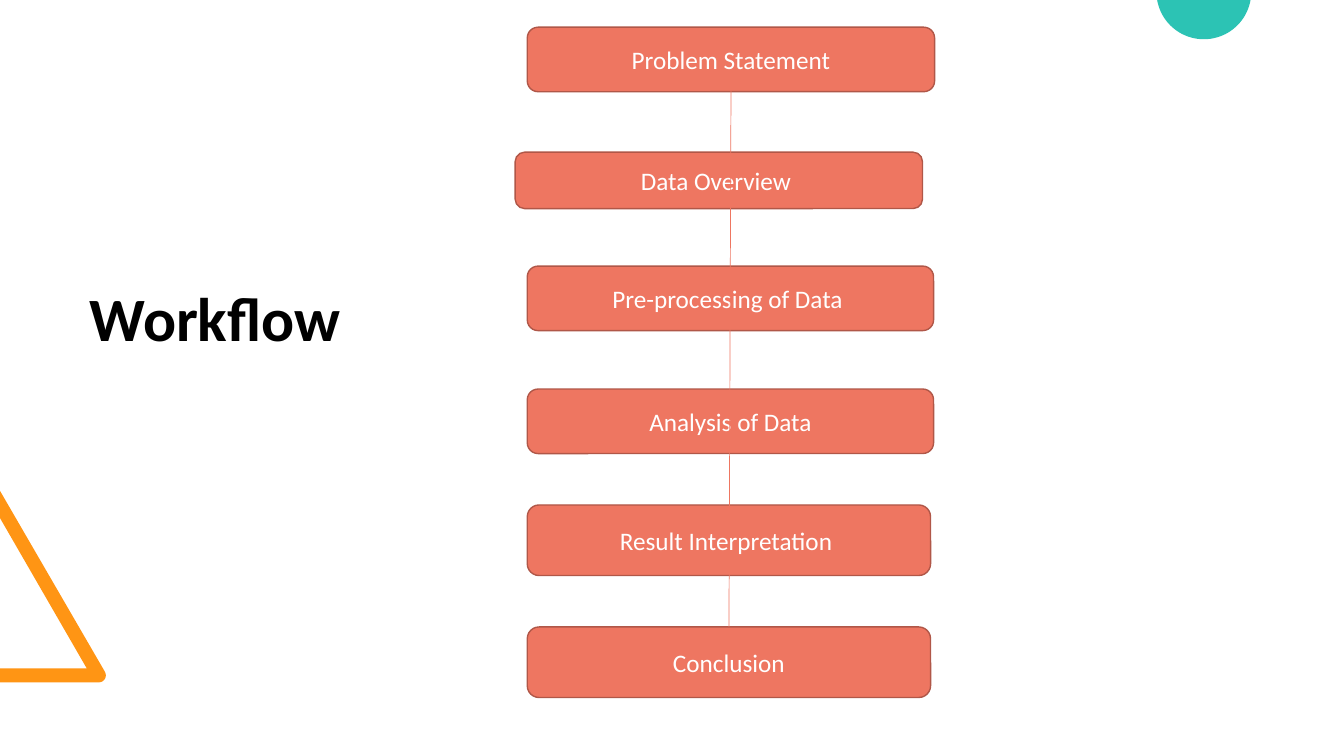
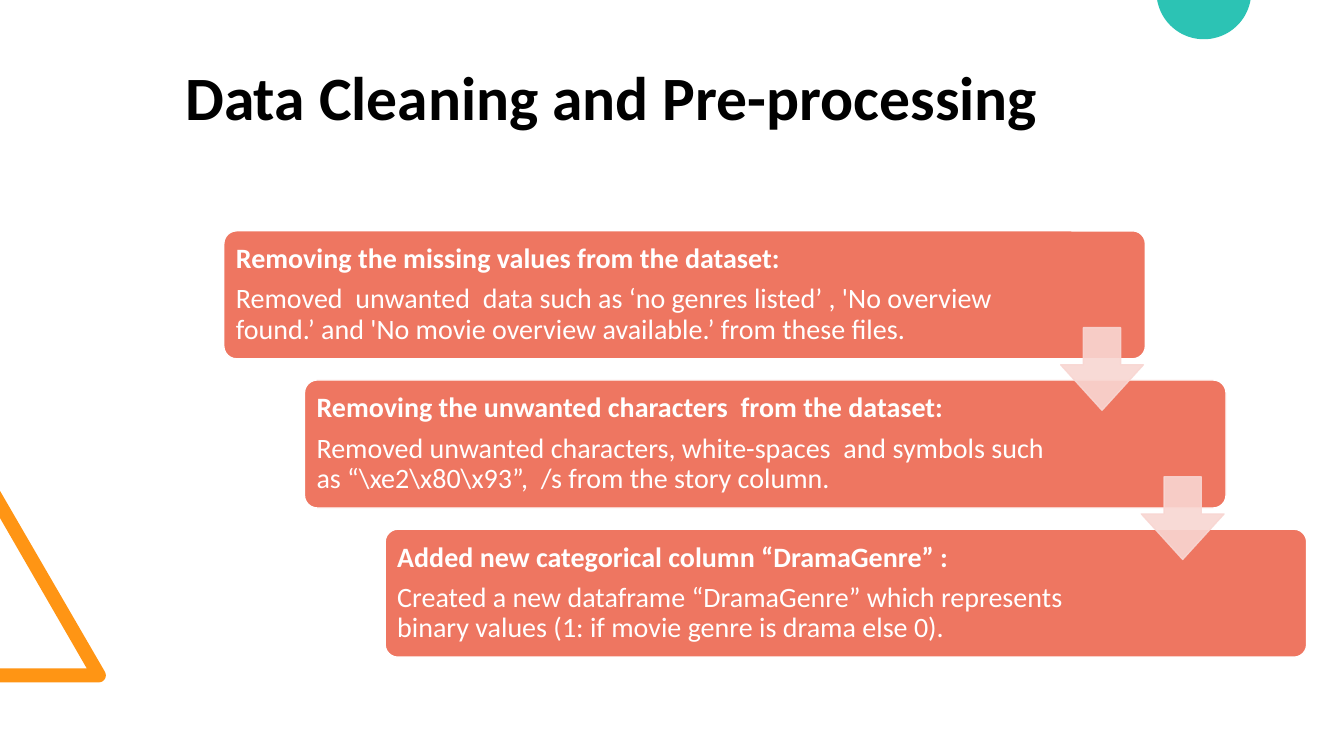
import math
import pptx
import pptx.util
import pptx.dml.color
import pptx.enum.shapes
import pptx.enum.text
import pptx.oxml
import pptx.oxml.ns
from dataclasses import dataclass

Inches = pptx.util.Inches
Pt = pptx.util.Pt
Kind = pptx.enum.shapes.MSO_SHAPE
Align = pptx.enum.text.PP_ALIGN
Anchor = pptx.enum.text.MSO_ANCHOR


@dataclass(frozen=True)
class Theme:
    font: str = "Calibri"
    coral: str = "EE7661"
    edge: str = "B05748"
    blush: str = "F8D6D2"
    orange: str = "FF9514"
    teal: str = "2CC3B4"
    black: str = "000000"
    white: str = "FFFFFF"
    title: int = 44
    body: int = 20
    label: int = 18


THEME = Theme()

# Left, top, width, height and label of each workflow box
STAGES = [
    (5.23, 0.27, 4.04, 0.64, "Problem Statement"),
    (5.11, 1.51, 4.04, 0.56, "Data Overview "),
    (5.23, 2.64, 4.03, 0.64, "Pre-processing of Data "),
    (5.23, 3.86, 4.03, 0.64, "Analysis of Data"),
    (5.23, 5.01, 4.00, 0.70, "Result Interpretation "),
    (5.23, 6.22, 4.00, 0.70, "Conclusion"),
]

# Text width, heading and detail of each cleaning step
STEPS = [
    (7.77, "Removing the missing values from the dataset:",
     "Removed  unwanted  data such as ‘no genres listed’ , 'No overview found.’ "
     "and 'No movie overview available.’ from these files."),
    (7.43, "Removing the unwanted characters  from the dataset:",
     "Removed unwanted characters, white-spaces  and symbols such as "
     r"“\xe2\x80\x93”,  /s from the story column."),
    (7.43, "Added new categorical column “DramaGenre” :",
     "Created a new dataframe “DramaGenre” which represents binary values "
     "(1: if movie genre is drama else 0)."),
]


# --- Formatting ---
def apply(target, values):
    for name, value in values.items():
        setattr(target, name, value)


def paint(shape, fill, line=None, alpha=None):
    """Flat fill with a 1 pt outline, or none; alpha in percent."""
    shape.shadow.inherit = False
    parts = [(shape.fill, fill)]
    if line:
        shape.line.width = Pt(1)
        parts.append((shape.line.fill, line))
    else:
        shape.line.fill.background()
    for part, tone in parts:
        part.solid()
        part.fore_color.rgb = pptx.dml.color.RGBColor.from_string(tone)
    if alpha:
        for node in shape._element.spPr.iter(pptx.oxml.ns.qn("a:srgbClr")):
            node.append(pptx.oxml.parse_xml(
                f'<a:alpha {pptx.oxml.ns.nsdecls("a")} val="{alpha * 1000}"/>'))


def write(shape, lines, size, color, inset=None, **style):
    """Fill a shape with (text, bold) lines; style goes to each paragraph."""
    frame = shape.text_frame
    apply(frame, {"word_wrap": True, "vertical_anchor": Anchor.MIDDLE})
    if inset is not None:
        sides = ("left", "right", "top", "bottom")
        apply(frame, {f"margin_{side}": Inches(inset) for side in sides})
    for index, (text, bold) in enumerate(lines):
        para = frame.add_paragraph() if index else frame.paragraphs[0]
        apply(para, style)
        run = para.add_run()
        run.text = text
        apply(run.font, {"name": THEME.font, "size": Pt(size), "bold": bold})
        run.font.color.rgb = pptx.dml.color.RGBColor.from_string(color)


# --- Elements ---
def block(shapes, kind, box, fill, line, adjust=(), alpha=None):
    shape = shapes.add_shape(kind, *map(Inches, box))
    for index, value in enumerate(adjust):
        shape.adjustments[index] = value
    paint(shape, fill, line, alpha)
    return shape


def textbox(shapes, box, *text, **style):
    write(shapes.add_textbox(*map(Inches, box)), *text, **style)


def arc(x, y, radius, start, stop, count):
    """Points along an arc, angles in degrees, clockwise from the right."""
    turns = [math.radians(start + (stop - start) * i / count)
             for i in range(count + 1)]
    return [(x + radius * math.cos(t), y + radius * math.sin(t)) for t in turns]


def outline(shapes, points, fill):
    first, *rest = [(Inches(x), Inches(y)) for x, y in points]
    path = shapes.build_freeform(*first)
    path.add_line_segments(rest, close=True)
    paint(path.convert_to_shape(), fill)


def rule(shapes, start, end, color, width):
    line = shapes.add_connector(pptx.enum.shapes.MSO_CONNECTOR.STRAIGHT,
                                *map(Inches, start + end))
    line.line.color.rgb = pptx.dml.color.RGBColor.from_string(color)
    line.line.width = Pt(width)
    line._element.spPr.append(
        pptx.oxml.parse_xml(f'<a:effectLst {pptx.oxml.ns.nsdecls("a")}/>'))


def page(deck, title, box):
    """New slide with the shared corner shapes and title style."""
    shapes = deck.slides.add_slide(deck.slide_layouts[6]).shapes
    corner = arc(0.98, 6.7, 0.07, -30, 90, 8)
    outline(shapes, [(0, 6.77), (0, 6.63), (0.86, 6.63), (0, 5.14), (0, 4.87)]
            + corner, THEME.orange)
    outline(shapes, arc(11.94, -0.08, 0.47, 10, 170, 60), THEME.teal)
    textbox(shapes, box, [(title, True)], THEME.title, THEME.black,
            line_spacing=0.9)
    return shapes


# --- Slides ---
def workflow(deck):
    shapes = page(deck, "Workflow", (0.79, 0.74, 3.54, 4.89))
    for *box, label in STAGES:
        shape = block(shapes, Kind.ROUNDED_RECTANGLE, box,
                      THEME.coral, THEME.edge)
        write(shape, [(label, False)], THEME.label, THEME.white,
              alignment=Align.CENTER)
    rule(shapes, (7.25, 0.9), (7.23, 6.22), THEME.coral, 0.5)


def cleaning(deck):
    shapes = page(deck, "Data Cleaning and Pre-processing",
                  (1.74, 0.32, 9.3, 1.35))
    group = shapes.add_group_shape().shapes
    right, down = 0.8, 1.48
    for i, (width, head, detail) in enumerate(STEPS):
        x, y = 2.22 + i * right, 2.29 + i * down
        block(group, Kind.ROUNDED_RECTANGLE, (x, y, 9.14, 1.27),
              THEME.coral, THEME.white, [0.1])
        textbox(group, (x + 0.04, y + 0.04, width, 1.19),
                [(head, True), (detail, False)], THEME.body, THEME.white,
                inset=0.08, line_spacing=0.9, space_after=Pt(7))
    # Arrows bridge each pair of steps
    for i in range(len(STEPS) - 1):
        block(group, Kind.DOWN_ARROW,
              (10.52 + i * right, 3.25 + i * down, 0.82, 0.82),
              THEME.blush, THEME.blush, [0.45, 0.55], alpha=90)


def main():
    deck = pptx.Presentation()
    apply(deck, {"slide_width": Inches(13.33), "slide_height": Inches(7.5)})
    workflow(deck)
    cleaning(deck)
    deck.save("out.pptx")


if __name__ == "__main__":
    main()
